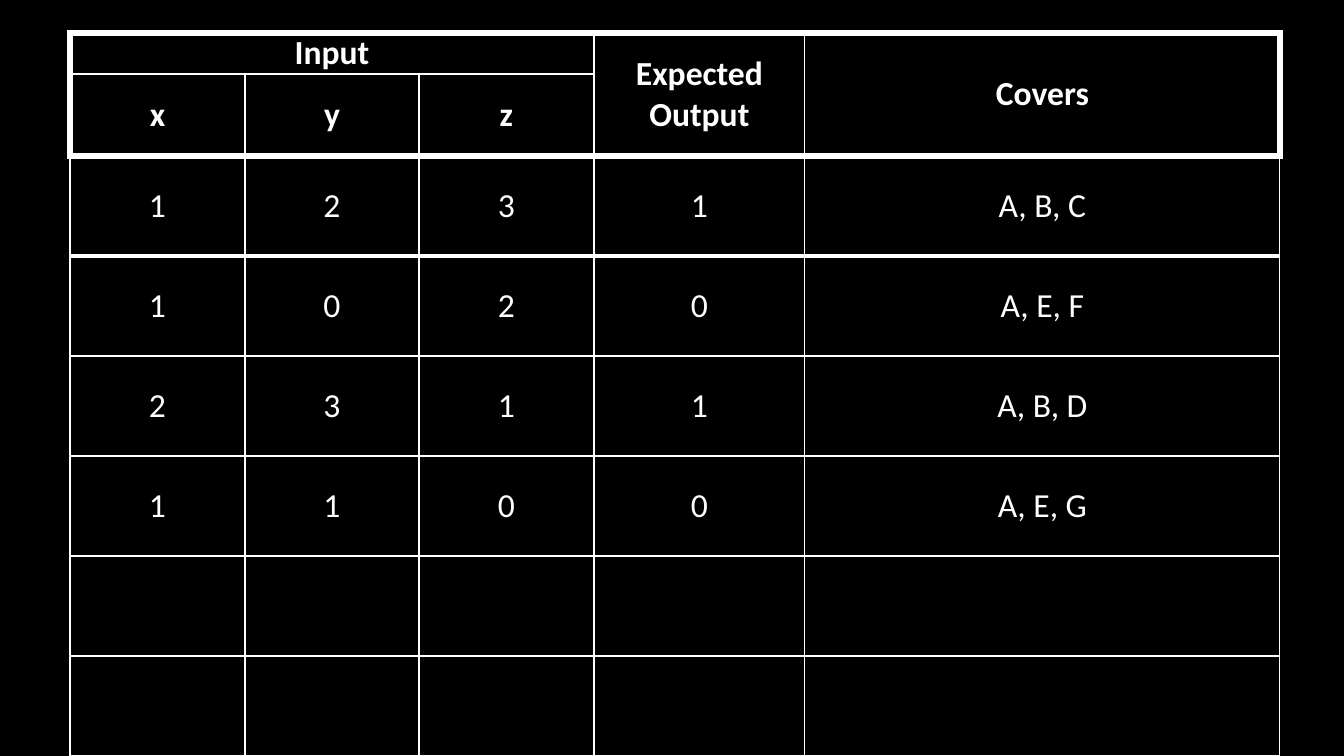
from dataclasses import dataclass

from lxml import etree
from pptx import Presentation
from pptx import util as u
from pptx.dml.color import RGBColor
from pptx.enum import text
from pptx.oxml.ns import qn

EMU_PER_PX = 914400 / 100.8
WHITE = "FFFFFF"
BLACK = "000000"
THIN, MEDIUM, THICK = 1, 3, 4.5
HEADER_ROWS = 2
COLUMN_WIDTHS = (175, 174, 175, 211, 475)
ROW_HEIGHTS = (38,) * HEADER_ROWS + (100,) * 6


@dataclass(frozen=True)
class Heading:
    label: str
    row: int
    column: int
    row_span: int = 1
    column_span: int = 1


HEADINGS = (
    Heading("Input", 0, 0, column_span=3),
    Heading("Expected Output", 0, 3, row_span=2),
    Heading("Covers", 0, 4, row_span=2),
    Heading("x", 1, 0),
    Heading("y", 1, 1),
    Heading("z", 1, 2),
)
TEST_CASES = (
    ("1", "2", "3", "1", "A, B, C"),
    ("1", "0", "2", "0", "A, E, F"),
    ("2", "3", "1", "1", "A, B, D"),
    ("1", "1", "0", "0", "A, E, G"),
    ("",) * 5,
    ("",) * 5,
)


def px(length: int) -> u.Emu:
    return u.Emu(round(length * EMU_PER_PX))


def color(value: str) -> RGBColor:
    return RGBColor.from_string(value)


def horizontal_weight(edge: int) -> float:
    """Weight of the rule above the row numbered edge."""
    return {0: THICK, HEADER_ROWS: THICK, HEADER_ROWS + 1: MEDIUM}.get(edge, THIN)


def vertical_weight(edge: int, in_header: bool) -> float:
    """Weight of the rule left of the column numbered edge."""
    return THICK if in_header and edge in (0, len(COLUMN_WIDTHS)) else THIN


def set_borders(cell, weights: dict[str, float]) -> None:
    properties = cell._tc.get_or_add_tcPr()
    for position, (side, weight) in enumerate(weights.items()):
        line = etree.Element(qn(f"a:ln{side}"), w=str(u.Pt(weight)))
        fill = etree.SubElement(line, qn("a:solidFill"))
        etree.SubElement(fill, qn("a:srgbClr"), val=WHITE)
        properties.insert(position, line)


def fill_cell(table, entry: Heading) -> None:
    cell = table.cell(entry.row, entry.column)
    in_header = entry.row < HEADER_ROWS
    bottom, right = entry.row + entry.row_span, entry.column + entry.column_span
    if entry.row_span * entry.column_span > 1:
        cell.merge(table.cell(bottom - 1, right - 1))
    cell.text = entry.label
    cell.vertical_anchor = text.MSO_ANCHOR.MIDDLE
    cell.margin_left = cell.margin_right = px(7)
    cell.margin_top = cell.margin_bottom = 0
    cell.fill.background()
    paragraph = cell.text_frame.paragraphs[0]
    paragraph.alignment = text.PP_ALIGN.CENTER
    paragraph.font.name = "Calibri"
    paragraph.font.size = u.Pt(24)
    paragraph.font.bold = in_header
    paragraph.font.color.rgb = color(WHITE)
    set_borders(cell, {
        "L": vertical_weight(entry.column, in_header),
        "R": vertical_weight(right, in_header),
        "T": horizontal_weight(entry.row),
        "B": horizontal_weight(bottom),
    })


def add_test_table(slide) -> None:
    table = slide.shapes.add_table(
        len(ROW_HEIGHTS), len(COLUMN_WIDTHS), px(70), px(33),
        px(sum(COLUMN_WIDTHS)), px(sum(ROW_HEIGHTS)),
    ).table
    table.first_row = table.horz_banding = False
    for column, width in zip(table.columns, COLUMN_WIDTHS):
        column.width = px(width)
    for row, height in zip(table.rows, ROW_HEIGHTS):
        row.height = px(height)
    values = [
        Heading(value, row, column)
        for row, case in enumerate(TEST_CASES, HEADER_ROWS)
        for column, value in enumerate(case)
    ]
    for entry in (*HEADINGS, *values):
        fill_cell(table, entry)


def main() -> None:
    deck = Presentation()
    deck.slide_width, deck.slide_height = px(1344), px(756)
    slide = deck.slides.add_slide(deck.slide_layouts[6])
    slide.background.fill.solid()
    slide.background.fill.fore_color.rgb = color(BLACK)
    add_test_table(slide)
    deck.save("out.pptx")


if __name__ == "__main__":
    main()
